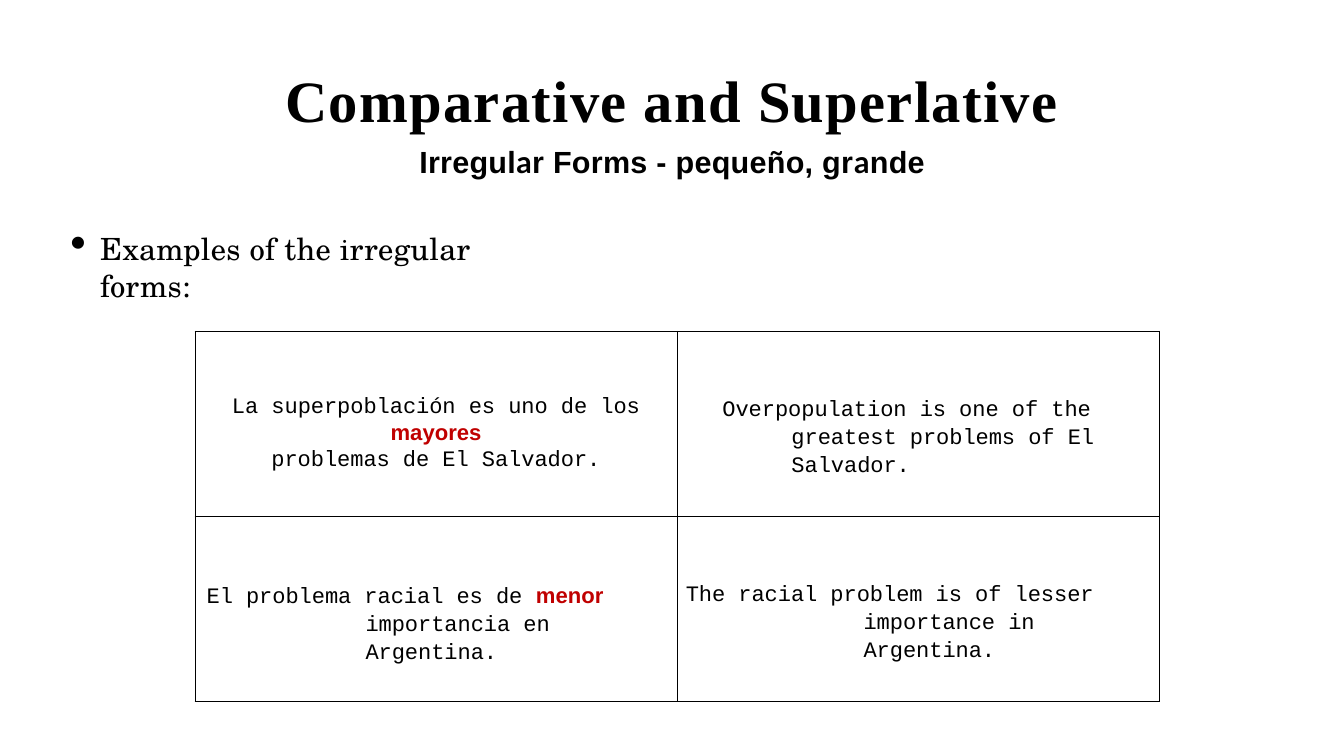
from lxml.etree import SubElement
from pptx import Presentation
from pptx.dml.color import RGBColor
from pptx.enum.text import PP_ALIGN
from pptx.oxml.ns import qn
from pptx.util import Inches, Pt

BLACK = RGBColor(0, 0, 0)
RED = RGBColor(0xC0, 0, 0)

TITLE = "Comparative and Superlative"
SUBTITLE = [("Irregul", "Arial"), ("a", "Lato"), ("r Forms - pequeño, gr", "Arial"),
            ("a", "Lato"), ("nde", "Arial")]
INTRO = "Examples of the irregular forms:"
KEYWORDS = ("mayores", "menor ")
EXAMPLES = [
    [
        {"lines": [["La superpoblación es uno de los ", "mayores"],
                   ["problemas de El Salvador."]]},
        {"lines": [["Overpopulation is one of the greatest problems of El Salvador."]],
         "indent": (1.87, -1.13)},
    ],
    [
        {"lines": [["El problema racial es de ", "menor ", "importancia en Argentina."]],
         "indent": (2.79, -2.6)},
        {"lines": [["The racial problem is of lesser importance in Argentina."]],
         "indent": (3.05, -2.91)},
    ],
]
TABLE_LEFT, TABLE_TOP = 3.19, 5.42
COLUMN_WIDTH, ROW_HEIGHT = 7.89, 3.03
CELL_TOP_MARGIN = 1.05


def add_text(paragraph, text, font, size, color=BLACK, bold=False, spacing=0):
    run = paragraph.add_run()
    run.text = text
    run.font.name = font
    run.font.size = Pt(size)
    run.font.bold = bold
    run.font.color.rgb = color
    run.font._element.set("spc", str(round(spacing * 100)))


def add_frame(slide, left, top, width, height, top_margin):
    frame = slide.shapes.add_textbox(
        Inches(left), Inches(top), Inches(width), Inches(height)).text_frame
    frame.word_wrap = True
    frame.margin_left = frame.margin_right = frame.margin_bottom = 0
    frame.margin_top = Inches(top_margin)
    return frame


def set_indent(paragraph, left, first):
    properties = paragraph._p.get_or_add_pPr()
    properties.set("marL", str(Inches(left)))
    properties.set("indent", str(Inches(first)))
    return properties


def set_borders(cell):
    properties = cell._tc.get_or_add_tcPr()
    for position, side in enumerate(("lnL", "lnR", "lnT", "lnB")):
        border = properties.makeelement(qn(f"a:{side}"), {"w": str(Pt(1))})
        fill = SubElement(border, qn("a:solidFill"))
        SubElement(fill, qn("a:srgbClr"), val=str(BLACK))
        properties.insert(position, border)


def fill_cell(cell, lines, indent=None):
    cell.fill.background()
    cell.margin_left = cell.margin_right = cell.margin_bottom = 0
    cell.margin_top = Inches(CELL_TOP_MARGIN)
    set_borders(cell)
    frame = cell.text_frame
    for number, parts in enumerate(lines):
        paragraph = frame.add_paragraph() if number else frame.paragraphs[0]
        if number:
            paragraph.space_before = Pt(3.5)
        if indent:
            set_indent(paragraph, *indent)
            paragraph.line_spacing = 1.11
        else:
            paragraph.alignment = PP_ALIGN.CENTER
        for part in parts:
            if part in KEYWORDS:
                add_text(paragraph, part, "Arial", 26, color=RED, bold=True)
            else:
                add_text(paragraph, part, "Courier New", 26, spacing=-0.1)


def main():
    presentation = Presentation()
    presentation.slide_width = Inches(21.99)
    presentation.slide_height = Inches(12.37)
    slide = presentation.slides.add_slide(presentation.slide_layouts[6])

    heading = add_frame(slide, 4.27, 0.64, 13.45, 2.22, 0.4)
    title = heading.paragraphs[0]
    title.alignment = PP_ALIGN.CENTER
    add_text(title, TITLE, "Times New Roman", 69, bold=True, spacing=1.6)
    subtitle = heading.add_paragraph()
    subtitle.alignment = PP_ALIGN.CENTER
    subtitle.space_before = Pt(10.9)
    for text, font in SUBTITLE:
        add_text(subtitle, text, font, 36, bold=True, spacing=0.35)

    intro = add_frame(slide, 1.13, 3.75, 7.82, 0.63, 0.02).paragraphs[0]
    bullet = set_indent(intro, 0.51, -0.49)
    SubElement(bullet, qn("a:buSzPct"), val="151000")
    SubElement(bullet, qn("a:buChar"), char="•")
    add_text(intro, INTRO, "TeX Gyre Schola", 36, spacing=0.4)

    rows, columns = len(EXAMPLES), len(EXAMPLES[0])
    examples = slide.shapes.add_table(
        rows, columns, Inches(TABLE_LEFT), Inches(TABLE_TOP),
        Inches(columns * COLUMN_WIDTH), Inches(rows * ROW_HEIGHT)).table
    examples.first_row = examples.horz_banding = False
    for row, contents in enumerate(EXAMPLES):
        for column, content in enumerate(contents):
            fill_cell(examples.cell(row, column), **content)

    presentation.save("out.pptx")


if __name__ == "__main__":
    main()
